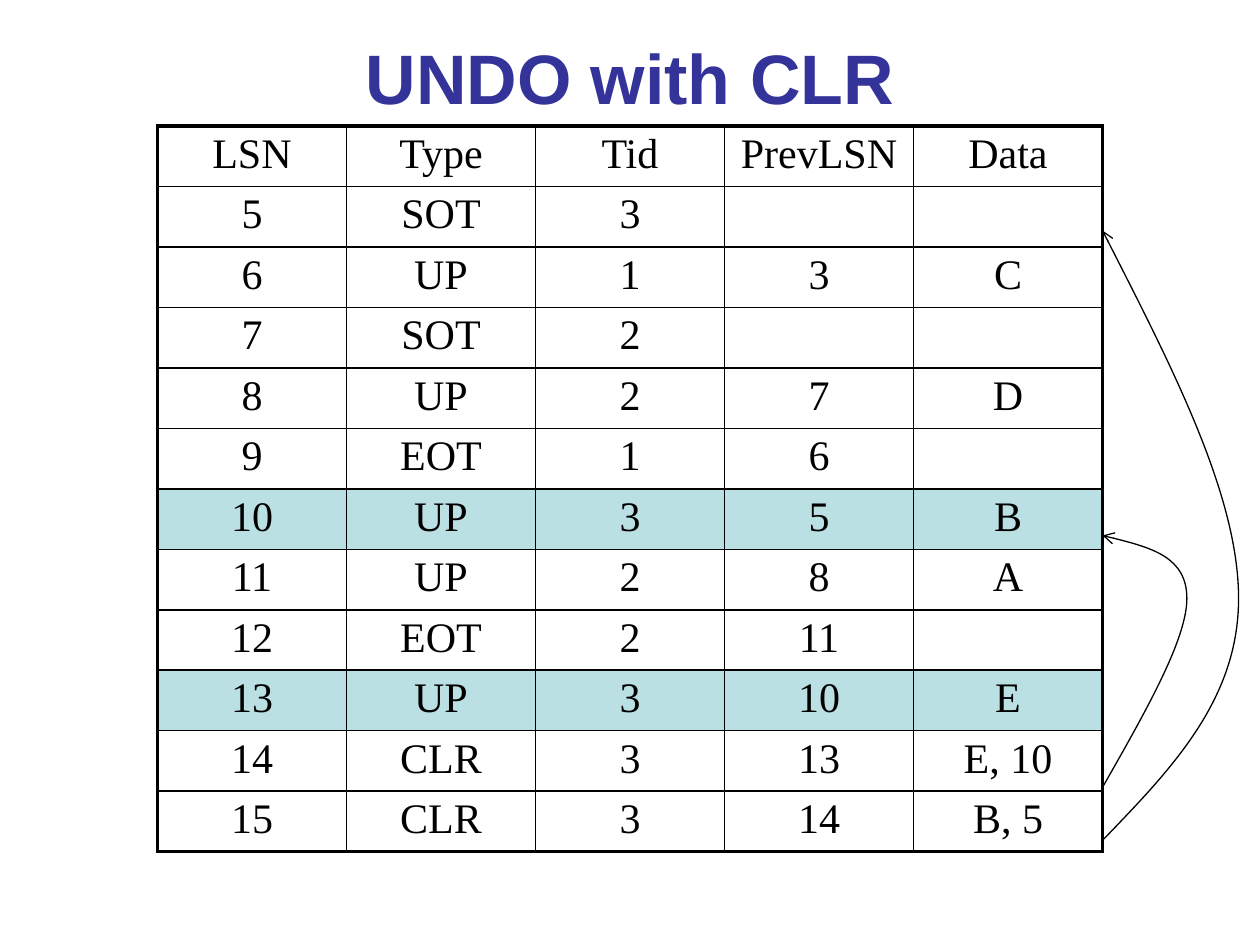
import pptx
import pptx.util
import pptx.dml.color
import pptx.enum.text
import pptx.oxml
import pptx.oxml.ns
import lxml.etree

Inches = pptx.util.Inches
Pt = pptx.util.Pt
Color = pptx.dml.color.RGBColor.from_string
qn = pptx.oxml.ns.qn

THEME = {
    "title": {"name": "Arial", "size": Pt(40), "bold": True, "color": "333399"},
    "body": {"name": "Times New Roman", "size": Pt(24), "bold": False, "color": "000000"},
    "line": "000000",
    "highlight": "BBE0E3",
    "white": "FFFFFF",
    "thin": 1,
    "thick": 2.25,
    "arrow": 0.75,
}


def write(paragraph, text, style):
    paragraph.alignment = pptx.enum.text.PP_ALIGN.CENTER
    run = paragraph.add_run()
    run.text = text
    for attribute in ("name", "size", "bold"):
        setattr(run.font, attribute, style[attribute])
    run.font.color.rgb = Color(style["color"])


def add_border(cell, side, width):
    border = lxml.etree.SubElement(cell._tc.get_or_add_tcPr(), qn("a:ln" + side), w=str(Pt(width)))
    fill = lxml.etree.SubElement(border, qn("a:solidFill"))
    lxml.etree.SubElement(fill, qn("a:srgbClr"), val=THEME["line"])


presentation = pptx.Presentation()
presentation.slide_width = Inches(10)
presentation.slide_height = Inches(7.5)
slide = presentation.slides.add_slide(presentation.slide_layouts[6])

title = slide.shapes.add_textbox(Inches(0.75), Inches(0.07), Inches(8.5), Inches(1.08))
title.text_frame.word_wrap = True
title.text_frame.vertical_anchor = pptx.enum.text.MSO_ANCHOR.MIDDLE
write(title.text_frame.paragraphs[0], "UNDO with CLR", THEME["title"])

log_records = [
    ("LSN", "Type", "Tid", "PrevLSN", "Data"),
    ("5", "SOT", "3", "", ""),
    ("6", "UP", "1", "3", "C"),
    ("7", "SOT", "2", "", ""),
    ("8", "UP", "2", "7", "D"),
    ("9", "EOT", "1", "6", ""),
    ("10", "UP", "3", "5", "B"),
    ("11", "UP", "2", "8", "A"),
    ("12", "EOT", "2", "11", ""),
    ("13", "UP", "3", "10", "E"),
    ("14", "CLR", "3", "13", "E, 10"),
    ("15", "CLR", "3", "14", "B, 5"),
]
fills = {"10": THEME["highlight"], "13": THEME["highlight"],
         "14": THEME["white"], "15": THEME["white"]}
row_height = Inches(0.47)
last_row = len(log_records) - 1
last_column = len(log_records[0]) - 1

table = slide.shapes.add_table(
    last_row + 1, last_column + 1, Inches(1.25), Inches(1),
    Inches(7.5), row_height * len(log_records)).table
table.first_row = False
table.horz_banding = False
cell_format = {
    "margin_top": Inches(0.04),
    "margin_bottom": Inches(0.04),
    "vertical_anchor": pptx.enum.text.MSO_ANCHOR.TOP,
}

for row, record in enumerate(log_records):
    table.rows[row].height = row_height
    for column, text in enumerate(record):
        cell = table.cell(row, column)
        for attribute, value in cell_format.items():
            setattr(cell, attribute, value)
        if text:
            write(cell.text_frame.paragraphs[0], text, THEME["body"])
        outer_sides = {"L": column == 0, "R": column == last_column,
                       "T": row == 0, "B": row == last_row}
        for side, is_outer in outer_sides.items():
            add_border(cell, side, THEME["thick"] if is_outer else THEME["thin"])
        if record[0] in fills:
            cell.fill.solid()
            cell.fill.fore_color.rgb = Color(fills[record[0]])
        else:
            cell.fill.background()

undo_arrows = [
    [(8.75, 6.25), (9.08, 5.67), (9.42, 5.08), (9.42, 4.75),
     (9.42, 4.42), (9.08, 4.33), (8.75, 4.25)],
    [(8.75, 6.67), (9.29, 6.11), (9.83, 5.56), (9.83, 4.75),
     (9.83, 3.94), (9.29, 2.89), (8.75, 1.83)],
]
for points in undo_arrows:
    start, *controls = [(Inches(x), Inches(y)) for x, y in points]
    builder = slide.shapes.build_freeform(*start)
    builder.add_line_segments(controls, close=False)
    arrow = builder.convert_to_shape()
    arrow.shadow.inherit = False
    arrow.fill.background()
    arrow.line.color.rgb = Color(THEME["line"])
    arrow.line.width = Pt(THEME["arrow"])
    lxml.etree.SubElement(arrow.line._get_or_add_ln(), qn("a:tailEnd"), type="arrow")
    segments = list(arrow._element.iter(qn("a:lnTo")))
    outline = segments[0].getparent()
    for first in range(0, len(segments), 3):
        curve = lxml.etree.SubElement(outline, qn("a:cubicBezTo"))
        for segment in segments[first:first + 3]:
            curve.append(segment[0])
            outline.remove(segment)

presentation.save("out.pptx")
